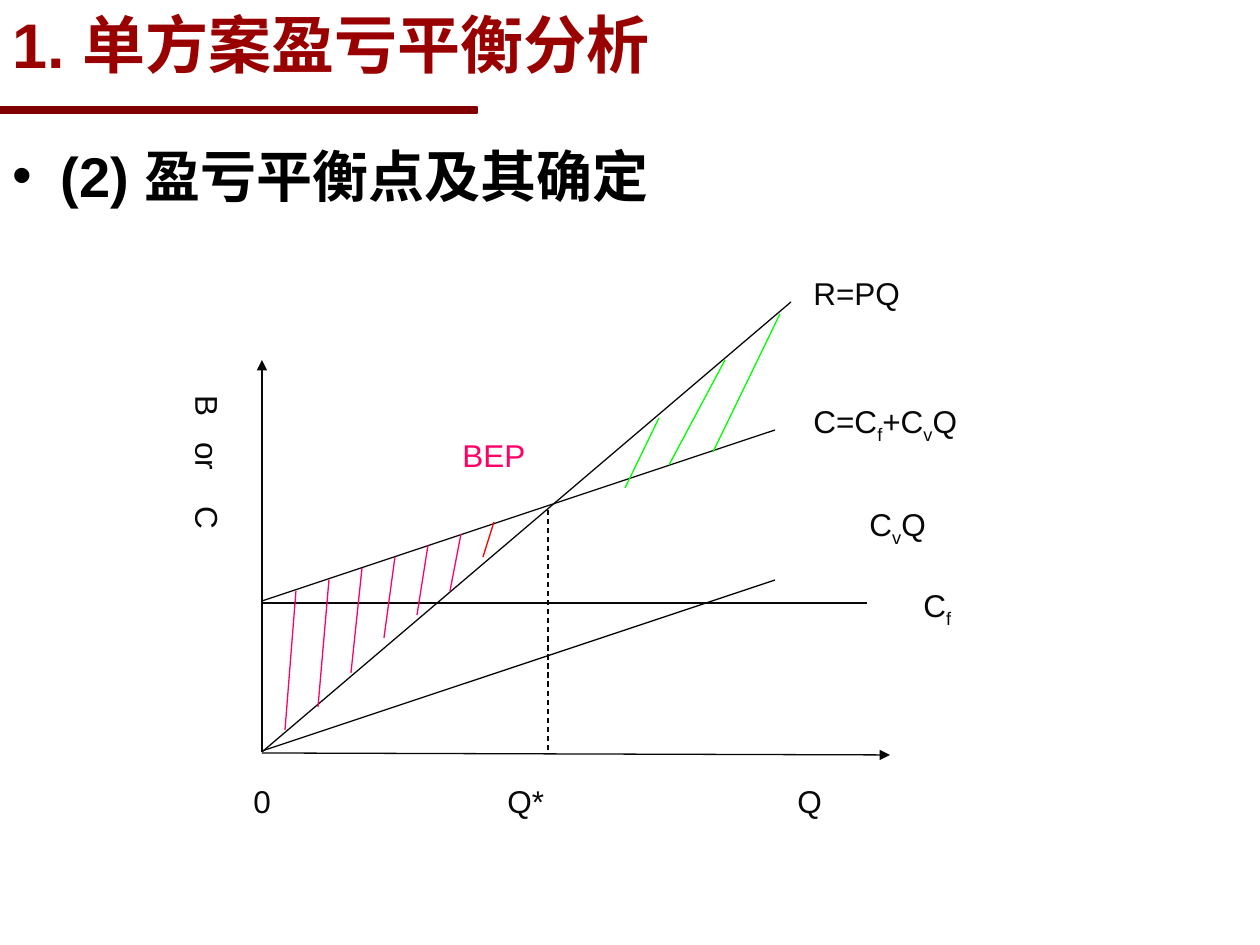
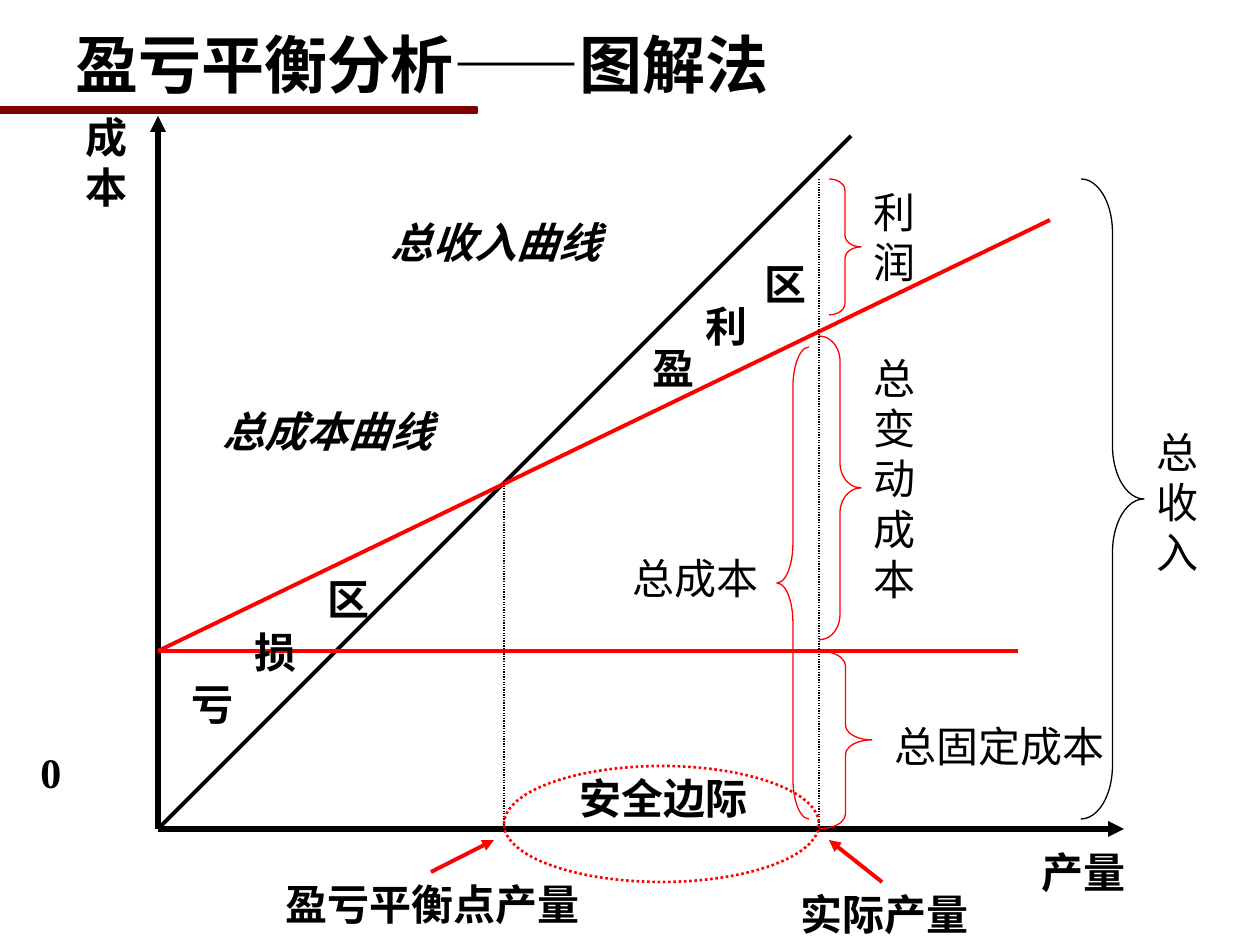
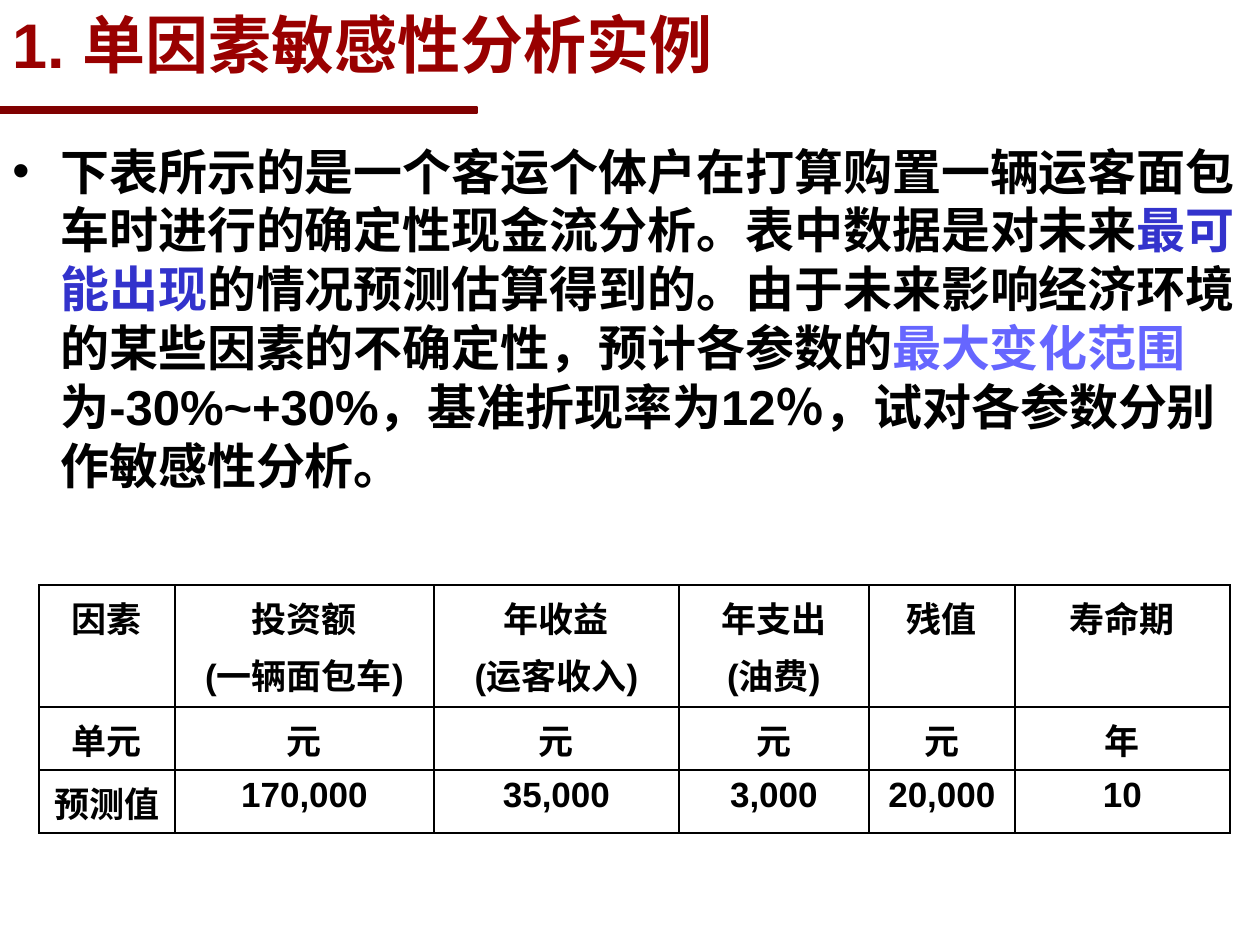
import pptx
import pptx.dml.color
import pptx.enum.dml
import pptx.enum.lang
import pptx.enum.shapes
import pptx.enum.text
import pptx.oxml
import pptx.oxml.ns
import pptx.util
from dataclasses import dataclass

SHAPE = pptx.enum.shapes.MSO_SHAPE
DASH = pptx.enum.dml.MSO_LINE.DASH
DOT = pptx.enum.dml.MSO_LINE.ROUND_DOT
CENTER = pptx.enum.text.PP_ALIGN.CENTER
MIDDLE = pptx.enum.text.MSO_ANCHOR.MIDDLE


@dataclass(frozen=True)
class Theme:
    sans: str = "Arial"
    serif: str = "Times New Roman"
    band: str = "800000"
    title: str = "990000"
    black: str = "000000"
    ink: str = "080808"
    red: str = "FF0000"
    pink: str = "FF0066"
    green: str = "00FF00"
    blue: str = "3333CC"
    violet: str = "6666FF"
    title_size: int = 36
    heading_size: int = 32
    body_size: int = 28
    chart_size: int = 24
    table_size: int = 20
    label_size: int = 18
    thin: float = 0.75
    dotted: float = 1.5
    medium: float = 2.25
    thick: float = 3


THEME = Theme()
PAGE_WIDTH, PAGE_HEIGHT = 1260, 945
BAND = (-1, 107, 478, 6)
TITLE = (0, 1, 1126, 84)
BODY = (0, 135, 1260, 810)
HANGING = 48
SUB = {"baseline": -25}

# Slide 1: break-even point
POINT_TITLE = "1. 单方案盈亏平衡分析"
POINT_HEADING = "(2) 盈亏平衡点及其确定"
POINT_LINES = [  # x1, y1, x2, y2, format
    (262, 752, 262, 360, {"arrow": True}),
    (262, 753, 890, 755, {"arrow": True}),
    (262, 752, 791, 302, {}),
    (262, 601, 775, 430, {}),
    (262, 603, 867, 603, {}),
    (262, 751, 775, 580, {}),
    (548, 510, 548, 753, {"dash": DASH}),
    (659, 418, 625, 488, {"color": THEME.green}),
    (725, 360, 669, 465, {"color": THEME.green}),
    (780, 314, 713, 452, {"color": THEME.green}),
    (494, 522, 483, 557, {"color": THEME.red}),
]
LOSS_BOTTOMS = [730, 707, 673, 638, 615, 591]
LOSS_LEFT, LOSS_TOP, LOSS_STEP, LOSS_RISE, LOSS_LEAN = 296, 591, 33, 11.4, 11
POINT_LABELS = [  # text, left, top, width, height, format
    ("B\tor\tC", 170, 383, 63, 277, {"vertical": True, "tabs": (47, 111)}),
    ("BEP", 450, 430, 110, 50, {"color": THEME.pink}),
    ("R=PQ", 801, 268, 165, 50, {}),
    ([("C=C", {}), ("f", SUB), ("+C", {}), ("v", SUB), ("Q", {})],
     801, 396, 209, 50, {}),
    ([("C", {}), ("f", SUB)], 911, 580, 88, 50, {}),
    ([("C", {}), ("v", SUB), ("Q", {})], 857, 499, 144, 50, {}),
    ("0\tQ*\tQ", 241, 776, 704, 50, {"tabs": (254, 544)}),
]

# Slide 2: graphic method
GRAPH_TITLE = "盈亏平衡分析——图解法"
GRAPH_TITLE_BOX = (63, 32, 1071, 63)
AXIS = {"width": THEME.thick, "arrow": True}
COST = {"color": THEME.red, "width": THEME.medium}
GRAPH_LINES = [
    (158, 829, 1124, 829, AXIS),
    (158, 829, 158, 116, AXIS),
    (158, 829, 851, 136, {"width": THEME.medium}),
    (158, 651, 1050, 220, COST),
    (158, 651, 1018, 651, COST),
    (504, 483, 504, 829, {"dash": DOT}),
    (819, 179, 819, 829, {"dash": DOT}),
    (431, 872, 494, 840, COST | {"arrow": True}),
    (882, 882, 829, 840, COST | {"arrow": True}),
]
GRAPH_SHAPES = [  # kind, left, top, width, height, adjustment, format
    (SHAPE.RIGHT_BRACE, 819, 651, 53, 178, 0.28, {}),
    (SHAPE.RIGHT_BRACE, 819, 336, 42, 304, 0.6, {}),
    (SHAPE.RIGHT_BRACE, 829, 179, 32, 136, 0.36, {}),
    (SHAPE.LEFT_BRACE, 777, 347, 32, 472, 1.25, {}),
    (SHAPE.RIGHT_BRACE, 1081, 179, 63, 640, 0.85, {"color": THEME.black}),
    (SHAPE.OVAL, 504, 766, 315, 116, None, {"width": THEME.dotted, "dash": DOT}),
]
BOLD = {"bold": True}
CURVE = {"bold": True, "italic": True}
GRAPH_LABELS = [
    ("总收入曲线", 378, 210, 273, 63, CURVE),
    ("总成本曲线", 210, 399, 273, 63, CURVE),
    ("成本", 73, 105, 63, 113, BOLD),
    ("产量", 1029, 840, 126, 63, BOLD),
    ("盈", 640, 336, 95, 63, BOLD),
    ("利", 693, 294, 68, 63, BOLD),
    ("区", 752, 252, 68, 63, BOLD),
    ("亏", 179, 672, 95, 63, BOLD),
    ("损", 242, 620, 95, 63, BOLD),
    ("区", 315, 567, 68, 63, BOLD),
    ("0", 28, 740, 63, 63, BOLD),
    ("总固定成本", 882, 714, 262, 63, {}),
    ("总变动成本", 861, 346, 73, 265, {}),
    ("利润", 861, 180, 73, 113, {}),
    ("盈亏平衡点产量", 273, 872, 326, 63, BOLD),
    ("安全边际", 567, 766, 200, 63, BOLD),
    ("总成本", 620, 546, 158, 63, {}),
    ("总收入", 1144, 420, 63, 164, {}),
    ("实际产量", 788, 882, 210, 63, BOLD),
]

# Slide 3: sensitivity example
EXAMPLE_TITLE = "1. 单因素敏感性分析实例"
EXAMPLE_BODY = [
    ("下表所示的是一个客运个体户在打算购置一辆运客面包车时进行的确定性现金流分析。"
     "表中数据是对未来", {}),
    ("最可能出现", {"color": THEME.blue}),
    ("的情况预测估算得到的。由于未来影响经济环境的某些因素的不确定性，预计各参数的", {}),
    ("最大变化范围", {"color": THEME.violet}),
    ("为-30%~+30%，基准折现率为12％，试对各参数分别作敏感性分析。", {}),
]
FACTORS = [
    ["因素", "投资额\n(一辆面包车)", "年收益\n(运客收入)", "年支出\n(油费)", "残值", "寿命期"],
    ["单元", "元", "元", "元", "元", "年"],
    ["预测值", "170,000", "35,000", "3,000", "20,000", "10"],
]
TABLE_LEFT, TABLE_TOP = 39, 585
COLUMN_WIDTHS = [136, 259, 245, 190, 146, 215]
ROW_HEIGHTS = [122, 63, 63]


def px(*lengths):
    return [pptx.util.Emu(round(length * 914400 / 126)) for length in lengths]


def rgb(color):
    return pptx.dml.color.RGBColor.from_string(color)


def add_xml(parent, markup):
    """Append one drawing element, given without its namespace declaration."""
    tag, gap, rest = markup.partition(" ")
    declaration = pptx.oxml.ns.nsdecls("a")
    parent.append(pptx.oxml.parse_xml(f"<a:{tag} {declaration} {rest}"))


def write(frame, text, size, font=THEME.sans, color=THEME.black, bold=False,
          italic=False, align=None, pitch=None, gap=0, bullet=False, tabs=()):
    """Fill a frame with a string (one paragraph a line) or (text, format) spans."""
    frame.word_wrap = True
    rows = [[(row, {})] for row in text.split("\n")] if isinstance(text, str) else [text]
    for index, spans in enumerate(rows):
        para = frame.add_paragraph() if index else frame.paragraphs[0]
        if index:
            para.space_before = pptx.util.Pt(gap)
        if align is not None:
            para.alignment = align
        if pitch:
            para.line_spacing = pptx.util.Pt(pitch)
        properties = para._p.get_or_add_pPr()
        if bullet:
            hanging = px(HANGING)[0]
            properties.set("marL", str(hanging))
            properties.set("indent", str(-hanging))
            add_xml(properties, f'buFont typeface="{THEME.sans}"/>')
            add_xml(properties, 'buChar char="•"/>')
        if tabs:
            stops = "".join(f'<a:tab pos="{stop}" algn="l"/>' for stop in px(*tabs))
            add_xml(properties, f"tabLst >{stops}</a:tabLst>")
        for words, style in spans:
            span = para.add_run()
            span.text = words
            span.font.name = font
            span.font.size = pptx.util.Pt(size)
            span.font.bold = bold
            span.font.italic = italic
            span.font.color.rgb = rgb(style.get("color", color))
            span.font.language_id = pptx.enum.lang.MSO_LANGUAGE_ID.SIMPLIFIED_CHINESE
            if "baseline" in style:
                span._r.get_or_add_rPr().set("baseline", str(style["baseline"] * 1000))


def add_text(page, text, left, top, width, height, anchor=None, vertical=False, **style):
    frame = page.shapes.add_textbox(*px(left, top, width, height)).text_frame
    if anchor is not None:
        frame.vertical_anchor = anchor
    if vertical:
        frame._txBody.bodyPr.set("vert", "eaVert")
    write(frame, text, **style)


def format_line(line, color, width, dash=None):
    line.color.rgb = rgb(color)
    line.width = pptx.util.Pt(width)
    if dash is not None:
        line.dash_style = dash


def add_line(page, x1, y1, x2, y2, color=THEME.black, width=THEME.thin,
             dash=None, arrow=False):
    straight = pptx.enum.shapes.MSO_CONNECTOR.STRAIGHT
    line = page.shapes.add_connector(straight, *px(x1, y1, x2, y2))
    format_line(line.line, color, width, dash)
    if arrow:
        add_xml(line.line._get_or_add_ln(), 'tailEnd type="triangle"/>')
    add_xml(line._element.spPr, "effectLst />")


def add_outline(page, kind, left, top, width, height, adjustment, style):
    shape = page.shapes.add_shape(kind, *px(left, top, width, height))
    shape.shadow.inherit = False
    shape.fill.background()
    format_line(shape.line, **({"color": THEME.red, "width": THEME.thin} | style))
    if adjustment is not None:
        shape.adjustments[0] = adjustment


def add_page(deck, title, box=TITLE, color=THEME.title):
    page = deck.slides.add_slide(deck.slide_layouts[6])
    band = page.shapes.add_shape(SHAPE.RECTANGLE, *px(*BAND))
    band.shadow.inherit = False
    band.fill.solid()
    band.fill.fore_color.rgb = rgb(THEME.band)
    format_line(band.line, THEME.band, THEME.thin)
    add_text(page, title, *box, anchor=MIDDLE, size=THEME.title_size,
             color=color, bold=True)
    return page


def add_body(page, text, size):
    add_text(page, text, *BODY, size=size, bold=True, bullet=True, pitch=size * 1.2)


def add_point_page(deck):
    page = add_page(deck, POINT_TITLE)
    add_body(page, POINT_HEADING, THEME.heading_size)
    for *ends, style in POINT_LINES:
        add_line(page, *ends, **({"color": THEME.ink} | style))
    for index, bottom in enumerate(LOSS_BOTTOMS):
        x = LOSS_LEFT + index * LOSS_STEP
        y = LOSS_TOP - index * LOSS_RISE
        add_line(page, x, y, x - LOSS_LEAN, bottom, color=THEME.pink)
    for text, *box, style in POINT_LABELS:
        add_text(page, text, *box,
                 **({"size": THEME.label_size, "color": THEME.ink} | style))


def add_graph_page(deck):
    page = add_page(deck, GRAPH_TITLE, GRAPH_TITLE_BOX, THEME.black)
    for *ends, style in GRAPH_LINES:
        add_line(page, *ends, **style)
    for outline in GRAPH_SHAPES:
        add_outline(page, *outline)
    for text, *box, style in GRAPH_LABELS:
        add_text(page, text, *box, size=THEME.chart_size, font=THEME.serif,
                 pitch=THEME.chart_size * 1.2, **style)


def add_borders(cell):
    properties = cell._tc.get_or_add_tcPr()
    for index, side in enumerate(("lnL", "lnR", "lnT", "lnB")):
        fill = f'<a:solidFill><a:srgbClr val="{THEME.black}"/></a:solidFill>'
        add_xml(properties, f'{side} w="12700">{fill}</a:{side}>')
        properties.insert(index, properties[-1])


def add_example_page(deck):
    page = add_page(deck, EXAMPLE_TITLE)
    add_body(page, EXAMPLE_BODY, THEME.body_size)
    size = px(TABLE_LEFT, TABLE_TOP, sum(COLUMN_WIDTHS), sum(ROW_HEIGHTS))
    table = page.shapes.add_table(len(ROW_HEIGHTS), len(COLUMN_WIDTHS), *size).table
    table.first_row = table.horz_banding = False
    for column, width in zip(table.columns, px(*COLUMN_WIDTHS)):
        column.width = width
    for row, height, texts in zip(table.rows, px(*ROW_HEIGHTS), FACTORS):
        row.height = height
        for cell, text in zip(row.cells, texts):
            cell.fill.background()
            add_borders(cell)
            write(cell.text_frame, text, size=THEME.table_size, bold=True,
                  align=CENTER, gap=THEME.table_size * 0.2)


def main():
    deck = pptx.Presentation()
    deck.slide_width, deck.slide_height = px(PAGE_WIDTH, PAGE_HEIGHT)
    add_point_page(deck)
    add_graph_page(deck)
    add_example_page(deck)
    deck.save("out.pptx")


if __name__ == "__main__":
    main()
